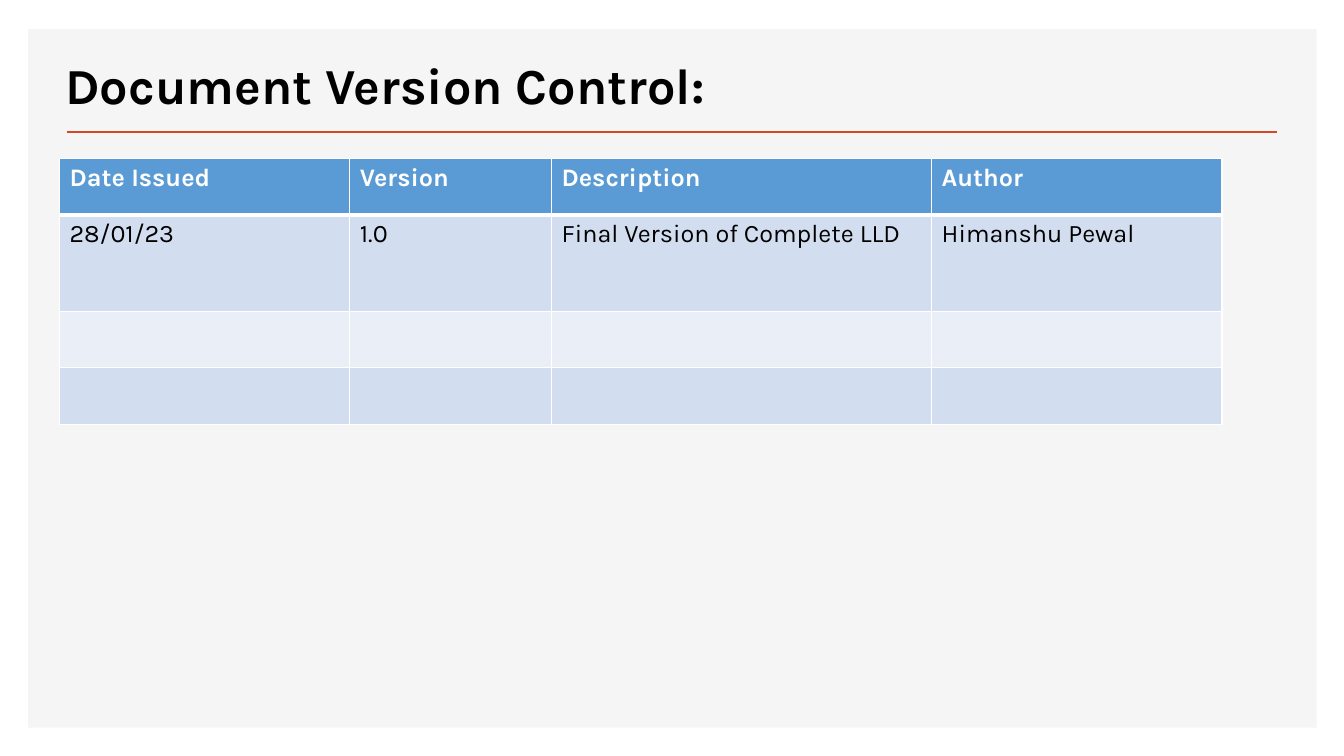
import pptx
import pptx.dml.color
import pptx.enum.shapes
import pptx.enum.text
import pptx.oxml
import pptx.oxml.ns
import pptx.util

EMU_PER_PX = 9144  # 100 px to the inch
FONT = "Karla"
COLORS = {
    "panel": "F5F5F5",
    "rule": "D24726",
    "header": "5B9BD5",
    "odd_row": "D2DEEF",
    "even_row": "EAEFF7",
    "white": "FFFFFF",
    "text": "000000",
}
VERSIONS = [
    ["Date Issued", "Version", "Description", "Author"],
    ["28/01/23", "1.0", "Final Version of Complete LLD", "Himanshu Pewal"],
    [""] * 4,
    [""] * 4,
]
COLUMN_WIDTHS = [288, 200, 377, 288]
ROW_HEIGHTS = [56, 96, 56, 56]


def px(length):
    return pptx.util.Emu(length * EMU_PER_PX)


def rgb(name):
    return pptx.dml.color.RGBColor.from_string(COLORS[name])


def write(frame, text, size, color, bold):
    frame.text = text
    font = frame.paragraphs[0].font
    if text:
        font = frame.paragraphs[0].runs[0].font
    font.name, font.size, font.bold = FONT, pptx.util.Pt(size), bold
    font.color.rgb = rgb(color)


def add_panel(slide, left, top, width, height):
    panel = slide.shapes.add_shape(
        pptx.enum.shapes.MSO_SHAPE.RECTANGLE, px(left), px(top), px(width), px(height))
    panel.shadow.inherit = False
    panel.fill.solid()
    panel.fill.fore_color.rgb = rgb("panel")
    panel.line.fill.background()


def add_heading(slide, left, top, width, height):
    """Place the title at the top of the box and the rule along its bottom edge."""
    title = slide.shapes.add_textbox(px(left - 11), px(top), px(752), px(70))
    frame = title.text_frame
    frame.word_wrap = True
    frame.vertical_anchor = pptx.enum.text.MSO_ANCHOR.BOTTOM
    write(frame, "Document Version Control:", 36, "text", True)

    rule = slide.shapes.add_connector(
        pptx.enum.shapes.MSO_CONNECTOR.STRAIGHT,
        px(left), px(top + height), px(left + width), px(top + height))
    rule.line.color.rgb = rgb("rule")
    rule.line.width = pptx.util.Pt(2)
    rule._element.spPr.append(pptx.oxml.parse_xml(
        f"<a:effectLst {pptx.oxml.ns.nsdecls('a')}/>"))


def set_borders(cell, top, bottom):
    """Draw white borders: 1 pt at the sides, the given points above and below."""
    properties = cell._tc.get_or_add_tcPr()
    for side, points in {"L": 1, "R": 1, "T": top, "B": bottom}.items():
        properties.append(pptx.oxml.parse_xml(
            f"<a:ln{side} {pptx.oxml.ns.nsdecls('a')} w=\"{pptx.util.Pt(points)}\">"
            f"<a:solidFill><a:srgbClr val=\"{COLORS['white']}\"/></a:solidFill>"
            f"</a:ln{side}>"))


def add_version_table(slide, left, top):
    table = slide.shapes.add_table(
        len(VERSIONS), len(COLUMN_WIDTHS), px(left), px(top),
        px(sum(COLUMN_WIDTHS)), px(sum(ROW_HEIGHTS))).table
    for column, width in zip(table.columns, COLUMN_WIDTHS):
        column.width = px(width)
    for row_index, (row, height) in enumerate(zip(table.rows, ROW_HEIGHTS)):
        row.height = px(height)
        is_header = row_index == 0
        band = "odd_row" if row_index % 2 else "even_row"
        for cell, text in zip(row.cells, VERSIONS[row_index]):
            set_borders(cell, 3 if row_index == 1 else 1, 3 if is_header else 1)
            cell.fill.solid()
            cell.fill.fore_color.rgb = rgb("header" if is_header else band)
            write(cell.text_frame, text, 18, "white" if is_header else "text", is_header)


def main():
    presentation = pptx.Presentation()
    presentation.slide_width, presentation.slide_height = px(1333), px(750)
    slide = presentation.slides.add_slide(presentation.slide_layouts[6])
    add_panel(slide, 28, 29, 1278, 693)
    add_heading(slide, 66, 49, 1201, 82)
    add_version_table(slide, 59, 157)
    presentation.save("out.pptx")


if __name__ == "__main__":
    main()
